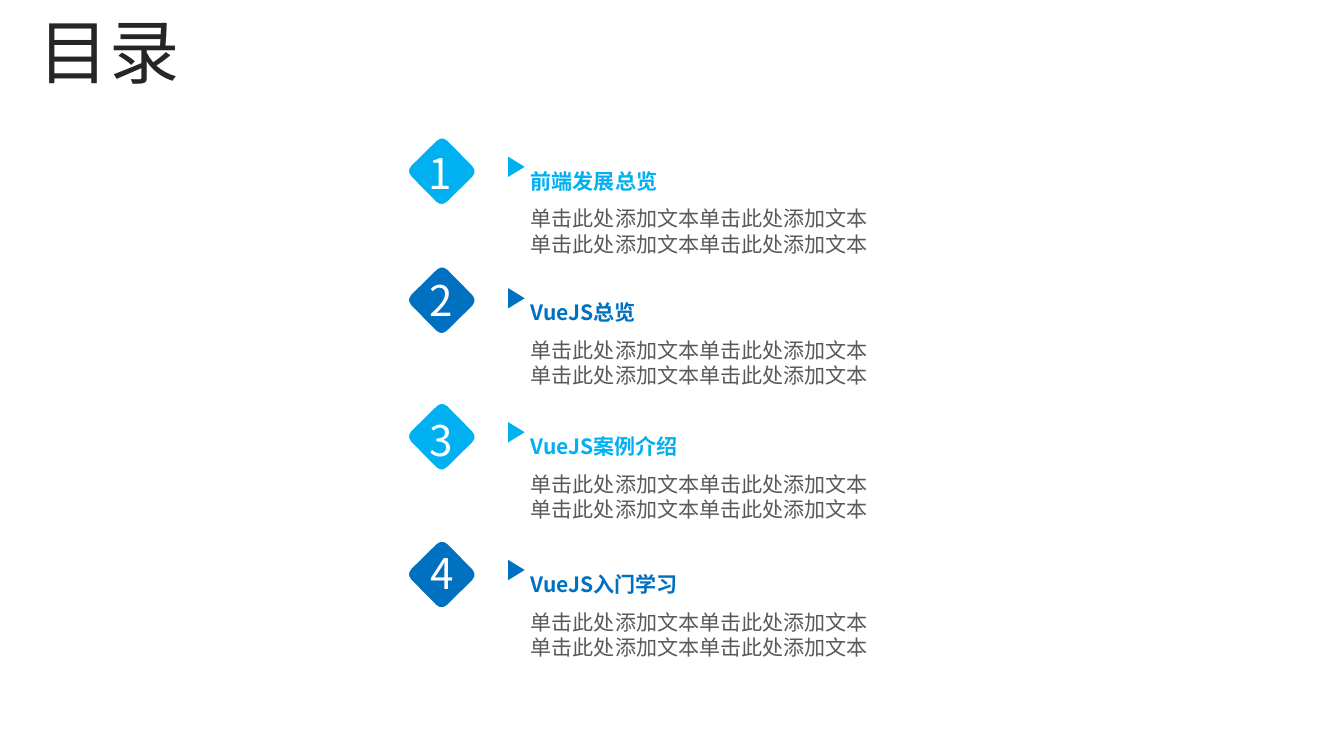
"""Builds a contents slide with four numbered sections."""
from lxml.etree import SubElement
from pptx import Presentation
from pptx.dml.color import RGBColor
from pptx.enum.shapes import MSO_SHAPE
from pptx.enum.text import MSO_AUTO_SIZE
from pptx.oxml.ns import qn
from pptx.util import Inches, Pt

FONT = "Noto Sans CJK SC"
SKY = RGBColor(0x00, 0xB0, 0xF0)
BLUE = RGBColor(0x00, 0x70, 0xC0)
GRAY = RGBColor(0x59, 0x59, 0x59)
DARK = RGBColor(0x26, 0x26, 0x26)
WHITE = RGBColor(0xFF, 0xFF, 0xFF)

TITLE = "目录"
DETAIL = "单击此处添加文本单击此处添加文本"
# heading, colour, text top, diamond top, number left, number top
SECTIONS = [
    ("前端发展总览", SKY, 1.18, 1.14, 3.29, 1.12),
    ("VueJS总览", BLUE, 2.22, 2.16, 3.3, 2.12),
    ("VueJS案例介绍", SKY, 3.28, 3.24, 3.3, 3.23),
    ("VueJS入门学习", BLUE, 4.37, 4.33, 3.31, 4.28),
]
TEXT_LEFT, TEXT_WIDTH, TEXT_HEIGHT = 4.1, 3.29, 1.11
ARROW_LEFT, ARROW_DROP, ARROW_WIDTH, ARROW_HEIGHT = 4.02, 0.06, 0.13, 0.16
DIAMOND_LEFT, DIAMOND_SIZE, DIAMOND_ANGLE = 3.28, 0.43, 315.5


def add_text(slide, box, lines, wrap=False):
    """Add a text box; each line is (text, size, colour, bold, spacing)."""
    shape = slide.shapes.add_textbox(*map(Inches, box))
    frame = shape.text_frame
    frame.word_wrap = wrap
    frame.auto_size = MSO_AUTO_SIZE.SHAPE_TO_FIT_TEXT
    for index, (text, size, color, bold, spacing) in enumerate(lines):
        paragraph = frame.add_paragraph() if index else frame.paragraphs[0]
        paragraph.text = text
        paragraph.line_spacing = spacing
        font = paragraph.font
        font.size, font.bold, font.name = Pt(size), bold, FONT
        font.color.rgb = color
        defaults = paragraph._p.pPr.find(qn("a:defRPr"))
        SubElement(defaults, qn("a:ea")).set("typeface", FONT)


def add_arrow(slide, top, color):
    """Add the small triangle that points at a heading."""
    builder = slide.shapes.build_freeform(Inches(ARROW_LEFT), Inches(top))
    builder.add_line_segments([
        (Inches(ARROW_LEFT + ARROW_WIDTH), Inches(top + ARROW_HEIGHT / 2)),
        (Inches(ARROW_LEFT), Inches(top + ARROW_HEIGHT)),
    ])
    shape = builder.convert_to_shape()
    shape.shadow.inherit = False
    shape.fill.solid()
    shape.fill.fore_color.rgb = color
    shape.line.fill.background()


def add_diamond(slide, top, color):
    """Add the rotated rounded square behind a number."""
    shape = slide.shapes.add_shape(
        MSO_SHAPE.ROUNDED_RECTANGLE, Inches(DIAMOND_LEFT), Inches(top),
        Inches(DIAMOND_SIZE), Inches(DIAMOND_SIZE))
    shape.rotation = DIAMOND_ANGLE
    shape.shadow.inherit = False
    shape.fill.solid()
    shape.fill.fore_color.rgb = color
    shape.line.color.rgb = WHITE
    shape.line.width = Pt(2)


def main():
    """Build and save the slide."""
    presentation = Presentation()
    presentation.slide_width = Inches(10.63)
    presentation.slide_height = Inches(5.91)
    slide = presentation.slides.add_slide(presentation.slide_layouts[6])

    add_text(slide, (0.21, 0.02, 1.32, 0.77), [(TITLE, 40, DARK, False, 1.0)])
    for number, section in enumerate(SECTIONS, start=1):
        heading, color, text_top, diamond_top, number_left, number_top = section
        add_text(slide, (TEXT_LEFT, text_top, TEXT_WIDTH, TEXT_HEIGHT), [
            (heading, 12, color, True, 1.5),
            (DETAIL, 12, GRAY, False, 1.5),
            (DETAIL, 12, GRAY, False, 1.0),
        ], wrap=True)
        add_arrow(slide, text_top + ARROW_DROP, color)
        add_diamond(slide, diamond_top, color)
        add_text(slide, (number_left, number_top, 0.4, 0.5),
                 [(str(number), 24, WHITE, False, 1.0)])

    presentation.save("out.pptx")


if __name__ == "__main__":
    main()
